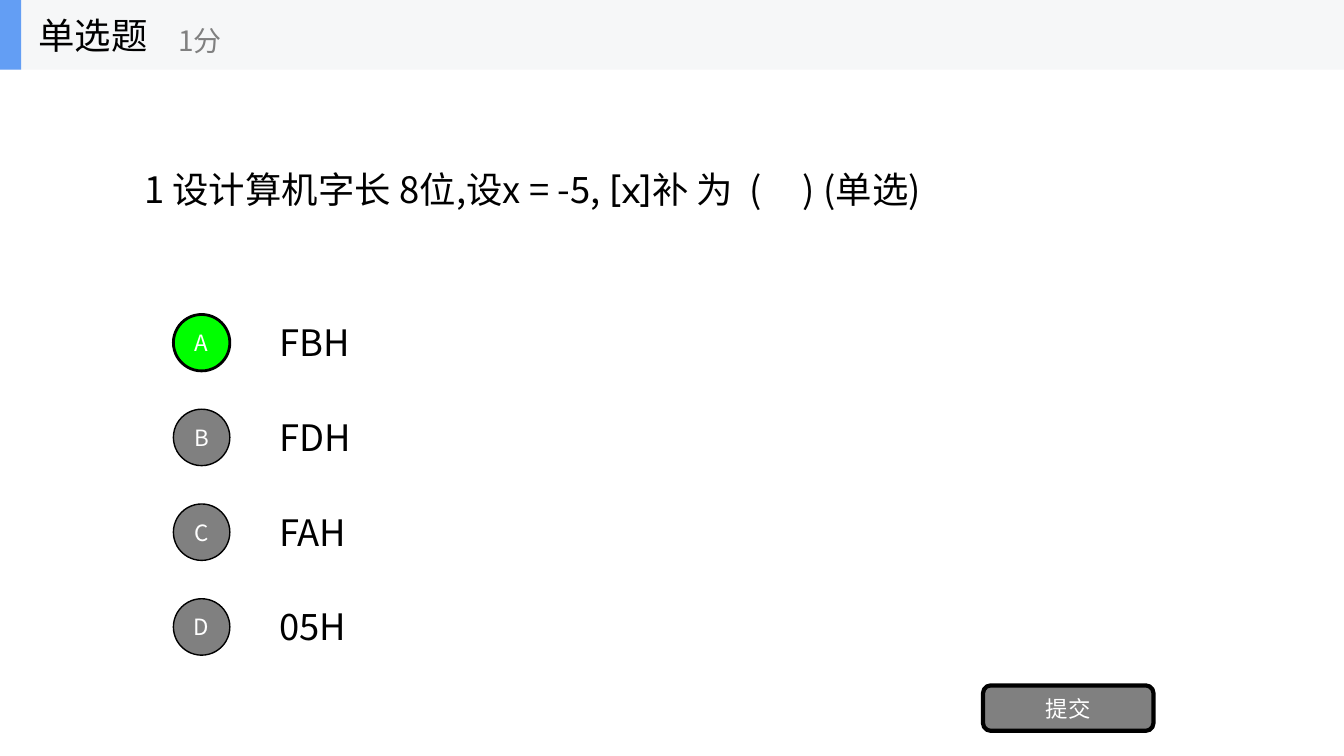
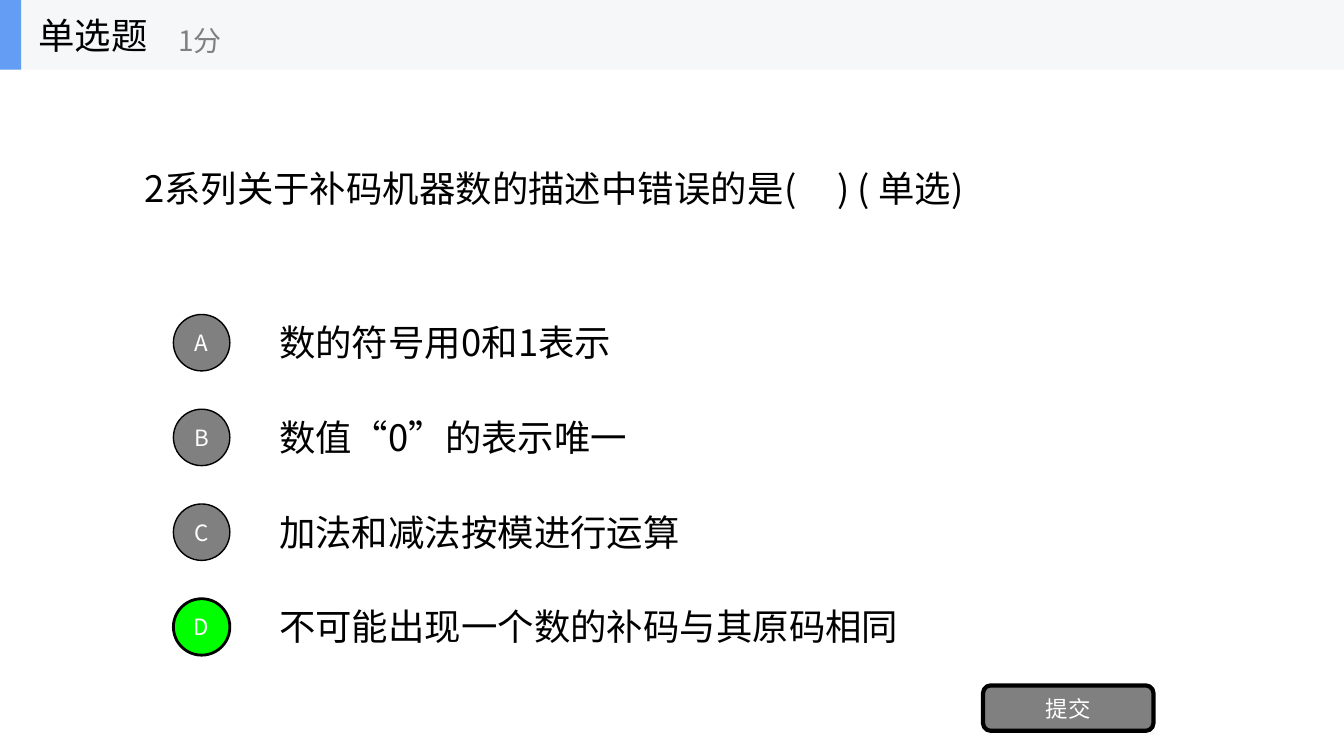
from pptx import Presentation
from pptx.dml.color import RGBColor
from pptx.enum.shapes import MSO_SHAPE
from pptx.enum.text import MSO_ANCHOR, MSO_AUTO_SIZE, PP_ALIGN
from pptx.oxml.ns import qn
from pptx.util import Inches, Pt
from lxml import etree

# Shared style
BLACK = RGBColor(0x00, 0x00, 0x00)
WHITE = RGBColor(0xFF, 0xFF, 0xFF)
GREY = RGBColor(0x80, 0x80, 0x80)
GREEN = RGBColor(0x00, 0xFF, 0x00)
BAND = RGBColor(0xF6, 0xF7, 0xF8)
ACCENT = RGBColor(0x63, 0x9E, 0xF4)
FONT = "Noto Sans CJK SC"
FORMULA_FONT = "Karla"
BODY_SIZE = 26
TITLE_ONLY = 5

# Shared layout, in inches
SLIDE_WIDTH, SLIDE_HEIGHT = 13.33, 7.5
BAND_HEIGHT = 0.69
FIRST_OPTION_TOP, OPTION_STEP = 3.12, 0.94
BADGE_LEFT, BADGE_SIZE = 1.72, 0.56
ANSWER_LEFT, ANSWER_HEIGHT = 2.67, 0.53

# Each question: box (left, top, width, height), runs (text, size, font),
# options (text, box width) and the right letter
QUESTIONS = [
    {
        "box": (1.33, 1.58, 8.39, 0.57),
        "runs": [
            ("1 设计算机字长 8位,设x = -5, ", BODY_SIZE, FONT),
            ("[x]", 28, FORMULA_FONT),
            ("补 为  (     ) (单选)", BODY_SIZE, FONT),
        ],
        "options": [("FBH", 1.01), ("FDH", 1.05), ("FAH", 1.01), ("05H", 1.01)],
        "answer": "A",
    },
    {
        "box": (1.33, 1.6, 8.61, 0.53),
        "runs": [
            ("2系列关于补码机器数的描述中错误的是(     ) ( 单选)", BODY_SIZE, FONT),
        ],
        "options": [
            ("数的符号用0和1表示", 3.62),
            ("数值“0”的表示唯一", 3.77),
            ("加法和减法按模进行运算", 4.28),
            ("不可能出现一个数的补码与其原码相同", 6.45),
        ],
        "answer": "D",
    },
]


def format_run(run, size, color, font=FONT):
    run.font.size = Pt(size)
    run.font.color.rgb = color
    run.font.name = font
    east_asian = etree.SubElement(run.font._element, qn("a:ea"))
    east_asian.set("typeface", FONT)


def fill_text(shape, runs, color=BLACK, align=PP_ALIGN.LEFT, grow=False):
    """Write (text, size, font) runs into one vertically centred paragraph."""
    frame = shape.text_frame
    frame.word_wrap = True
    frame.auto_size = MSO_AUTO_SIZE.SHAPE_TO_FIT_TEXT if grow else MSO_AUTO_SIZE.NONE
    frame.vertical_anchor = MSO_ANCHOR.MIDDLE
    paragraph = frame.paragraphs[0]
    paragraph.alignment = align
    for text, size, font in runs:
        run = paragraph.add_run()
        run.text = text
        format_run(run, size, color, font)


def add_label(slide, box, runs, color=BLACK, grow=False):
    label = slide.shapes.add_textbox(*map(Inches, box))
    fill_text(label, runs, color, grow=grow)


def add_block(slide, kind, box, fill, line_width=0, caption=""):
    block = slide.shapes.add_shape(kind, *map(Inches, box))
    block.shadow.inherit = False
    block.fill.solid()
    block.fill.fore_color.rgb = fill
    if line_width:
        block.line.color.rgb = BLACK
        block.line.width = Pt(line_width)
    else:
        block.line.fill.background()
    if caption:
        frame = block.text_frame
        frame.margin_left = frame.margin_right = 0
        frame.margin_top = frame.margin_bottom = 0
        fill_text(block, [(caption, 16, FONT)], WHITE, PP_ALIGN.CENTER)


def add_header(slide):
    add_block(slide, MSO_SHAPE.RECTANGLE, (0, 0, SLIDE_WIDTH, BAND_HEIGHT), BAND)
    add_block(slide, MSO_SHAPE.RECTANGLE, (0, 0, 0.21, BAND_HEIGHT), ACCENT)
    title = slide.shapes.title
    title.left, title.top = Inches(0.28), Inches(0)
    title.width, title.height = Inches(2.08), Inches(BAND_HEIGHT)
    fill_text(title, [("单选题", BODY_SIZE, FONT)])
    # Bring the title in front of the band
    title.element.getparent().append(title.element)
    add_label(slide, (1.67, 0.12, 2.5, 0.56), [("1分", 20, FONT)], GREY)


def add_option(slide, index, letter, text, width, correct):
    top = FIRST_OPTION_TOP + index * OPTION_STEP
    add_label(slide, (ANSWER_LEFT, top + 0.01, width, ANSWER_HEIGHT),
              [(text, BODY_SIZE, FONT)], grow=True)
    add_block(slide, MSO_SHAPE.OVAL, (BADGE_LEFT, top, BADGE_SIZE, BADGE_SIZE),
              GREEN if correct else GREY, 2 if correct else 1, letter)


def add_question_slide(deck, question):
    slide = deck.slides.add_slide(deck.slide_layouts[TITLE_ONLY])
    add_header(slide)
    add_label(slide, question["box"], question["runs"], grow=True)
    for index, (letter, (text, width)) in enumerate(zip("ABCD", question["options"])):
        add_option(slide, index, letter, text, width, letter == question["answer"])
    # Submit button
    add_block(slide, MSO_SHAPE.ROUNDED_RECTANGLE, (9.75, 6.8, 1.69, 0.45), GREY, 3, "提交")


def main():
    deck = Presentation()
    deck.slide_width = Inches(SLIDE_WIDTH)
    deck.slide_height = Inches(SLIDE_HEIGHT)
    for question in QUESTIONS:
        add_question_slide(deck, question)
    deck.save("out.pptx")


if __name__ == "__main__":
    main()
